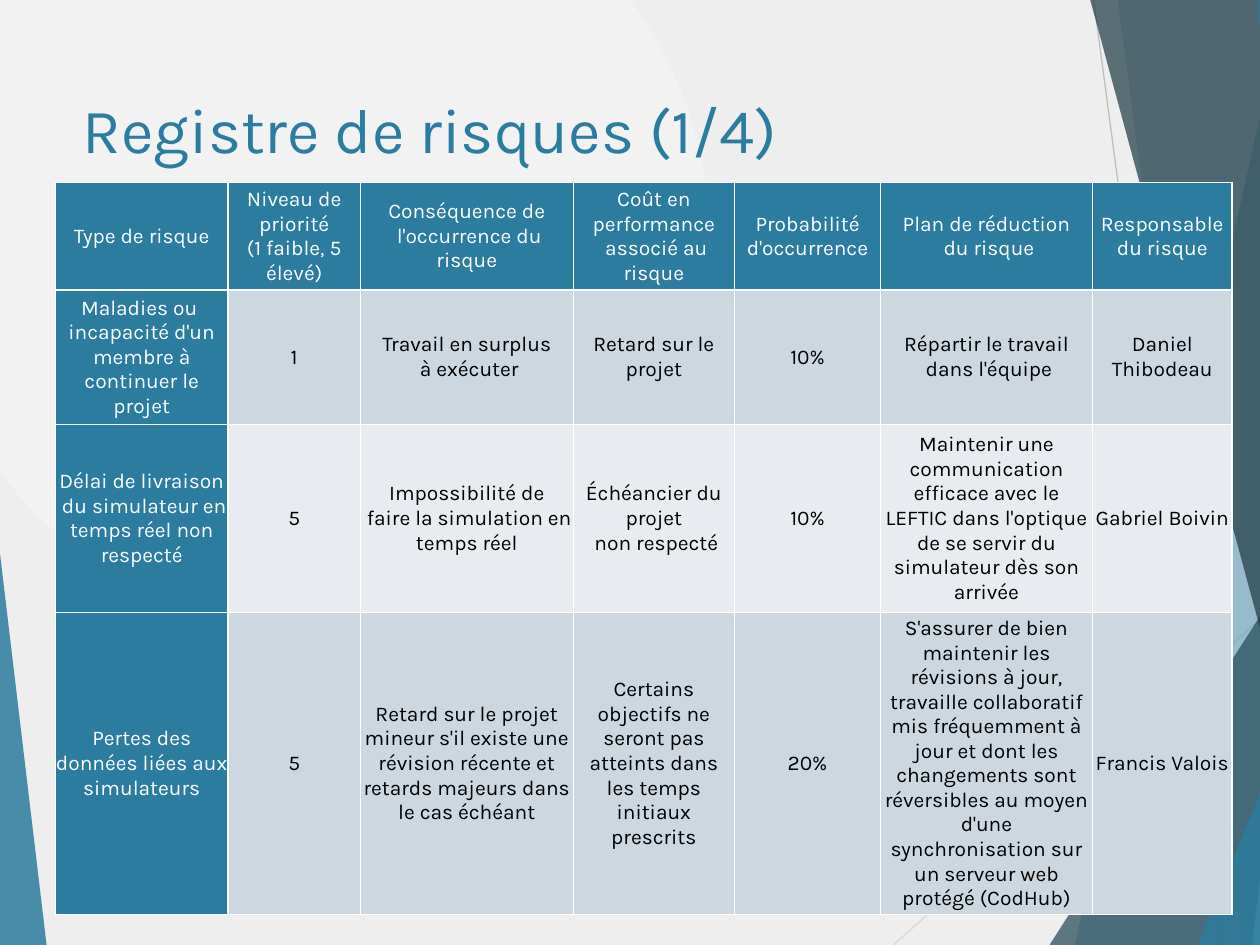
"""Build the risk register slide: faceted backdrop, title and table."""
from lxml import etree
from pptx import Presentation
from pptx import util as u
from pptx.dml.color import RGBColor
from pptx.enum import shapes, text
from pptx.oxml.ns import qn

FONT, BLUE, WHITE, BLACK = "Karla", "2C7C9F", "FFFFFF", "000000"
BANDS = ["CDD7DF", "E8ECF0"]
TITLE = "Registre de risques (1/4)"
COLS = [1.37, 1.05, 1.69, 1.28, 1.16, 1.68, 1.11]
ROWS = [0.85, 1.07, 1.49, 2.34]
CELLS = [
    ["Type de risque", "Niveau de priorité\n(1 faible, 5 élevé)",
     "Conséquence de\n l'occurrence du risque",
     "Coût en performance\n associé au risque", "Probabilité d'occurrence",
     "Plan de réduction\n du risque", "Responsable du risque"],
    ["Maladies ou \nincapacité d'un membre à continuer le projet", "1",
     "Travail en surplus\n à exécuter", "Retard sur le projet", "10%",
     "Répartir le travail\n dans l'équipe", "Daniel Thibodeau"],
    ["Délai de livraison\n du simulateur en temps réel non respecté", "5",
     "Impossibilité de\n faire la simulation en temps réel",
     "Échéancier du projet\n non respecté", "10%",
     "Maintenir une communication efficace avec le LEFTIC dans l'optique "
     "de se servir du simulateur dès son arrivée", "Gabriel Boivin"],
    ["Pertes des données liées aux simulateurs", "5",
     "Retard sur le projet mineur s'il existe une révision récente et "
     "retards majeurs dans le cas échéant",
     "Certains objectifs ne seront pas atteints dans les temps initiaux "
     "prescrits", "20%",
     "S'assurer de bien maintenir les révisions à jour, travaille "
     "collaboratif mis fréquemment à jour et dont les changements sont "
     "réversibles au moyen d'une synchronisation sur un serveur web "
     "protégé (CodHub)", "Francis Valois"],
]
LINES = [((8.68, 0), (9.68, 7.5), "BFBFBF"), ((11, 4.03), (7.09, 7.5), "D9D9D9")]
FACETS = [
    ("band", (10.21, 8.53), BLUE, 30),
    ("band", (8.87, 9.87), BLUE, 20),
    ("peak", (8.33, 3.33, 2.67, 4.17, 1), "244A58", 72),
    ("band", (8.65, 10.68), "1B3842", 70),
    ("band", (10.77, 9.94), "6FB7D7", 70),
    ("band", (9.97, 10.88), BLUE, 65),
    ("peak", (9.5, 3.93, 1.49, 3.57, 1), BLUE, 80),
    ("peak", (0, 4.39, 0.37, 3.11, 0), BLUE, 85),
]


def rgb(code):
    return RGBColor.from_string(code)


def sub(node, tag, **attrs):
    return etree.SubElement(node, qn(tag), **attrs)


def inch(*nums):
    return [u.Inches(n) for n in nums]


def paint(shape, code, alpha):
    shape.shadow.inherit = False
    shape.fill.solid()
    shape.fill.fore_color.rgb = rgb(code)
    shape.line.fill.background()
    tint = shape._element.spPr.find(qn("a:solidFill"))[0]
    sub(tint, "a:alpha", val=str(alpha * 1000))


def band(slide, top, low):
    first, *rest = [inch(*dot) for dot in
                    ((top, -0.01), (11, -0.01), (11, 7.5), (low, 7.5))]
    edge = slide.shapes.build_freeform(*first)
    edge.add_line_segments(rest, close=True)
    return edge.convert_to_shape()


def peak(slide, left, top, width, height, tip):
    shape = slide.shapes.add_shape(
        shapes.MSO_SHAPE.ISOSCELES_TRIANGLE, *inch(left, top, width, height))
    shape.adjustments[0] = tip
    return shape


def style(par, size, code):
    for run in par.runs:
        run.font.name, run.font.size = FONT, u.Pt(size)
        run.font.bold = False
        run.font.color.rgb = rgb(code)


def backdrop(slide):
    fill = slide.background.fill
    fill.gradient()
    for stop, code, pos in zip(fill.gradient_stops, ("F2F2F2", "EEEEEE"), (0, 1)):
        stop.color.rgb, stop.position = rgb(code), pos
    grad = slide._element.find(".//" + qn("a:gradFill"))
    grad.remove(grad.find(qn("a:lin")))
    ring = sub(grad, "a:path", path="circle")
    sub(ring, "a:fillToRect", l="50000", t="50000", r="100000", b="100000")
    for start, end, code in LINES:
        line = slide.shapes.add_connector(
            shapes.MSO_CONNECTOR.STRAIGHT, *inch(*start, *end))
        line.line.color.rgb, line.line.width = rgb(code), u.Pt(0.75)
        sub(line._element.spPr, "a:effectLst")
    for kind, dims, code, alpha in FACETS:
        draw = band if kind == "band" else peak
        paint(draw(slide, *dims), code, alpha)


def heading(slide):
    box = slide.shapes.add_textbox(*inch(0.56, 0.67, 7.05, 1.44))
    box.text_frame.word_wrap = True
    box.text_frame.text = TITLE
    style(box.text_frame.paragraphs[0], 36, BLUE)


def fill_cell(cell, words, fore, back):
    cell.margin_left = cell.margin_right = cell.margin_top = cell.margin_bottom = 0
    cell.vertical_anchor = text.MSO_ANCHOR.MIDDLE
    par = cell.text_frame.paragraphs[0]
    par.text = words
    par.alignment = text.PP_ALIGN.CENTER
    style(par, 12, fore)
    cell.fill.solid()
    cell.fill.fore_color.rgb = rgb(back)


def register(slide):
    size = inch(0.44, 1.45, sum(COLS), sum(ROWS))
    table = slide.shapes.add_table(len(ROWS), len(COLS), *size).table
    table.first_col = True
    for col, width in zip(table.columns, COLS):
        col.width = u.Inches(width)
    for r, (height, words) in enumerate(zip(ROWS, CELLS)):
        table.rows[r].height = u.Inches(height)
        for c, word in enumerate(words):
            head = r == 0 or c == 0
            fore, back = (WHITE, BLUE) if head else (BLACK, BANDS[(r - 1) % 2])
            fill_cell(table.cell(r, c), word, fore, back)


def main():
    deck = Presentation()
    deck.slide_width, deck.slide_height = inch(10, 7.5)
    slide = deck.slides.add_slide(deck.slide_layouts[6])
    backdrop(slide)
    heading(slide)
    register(slide)
    deck.save("out.pptx")


if __name__ == "__main__":
    main()
